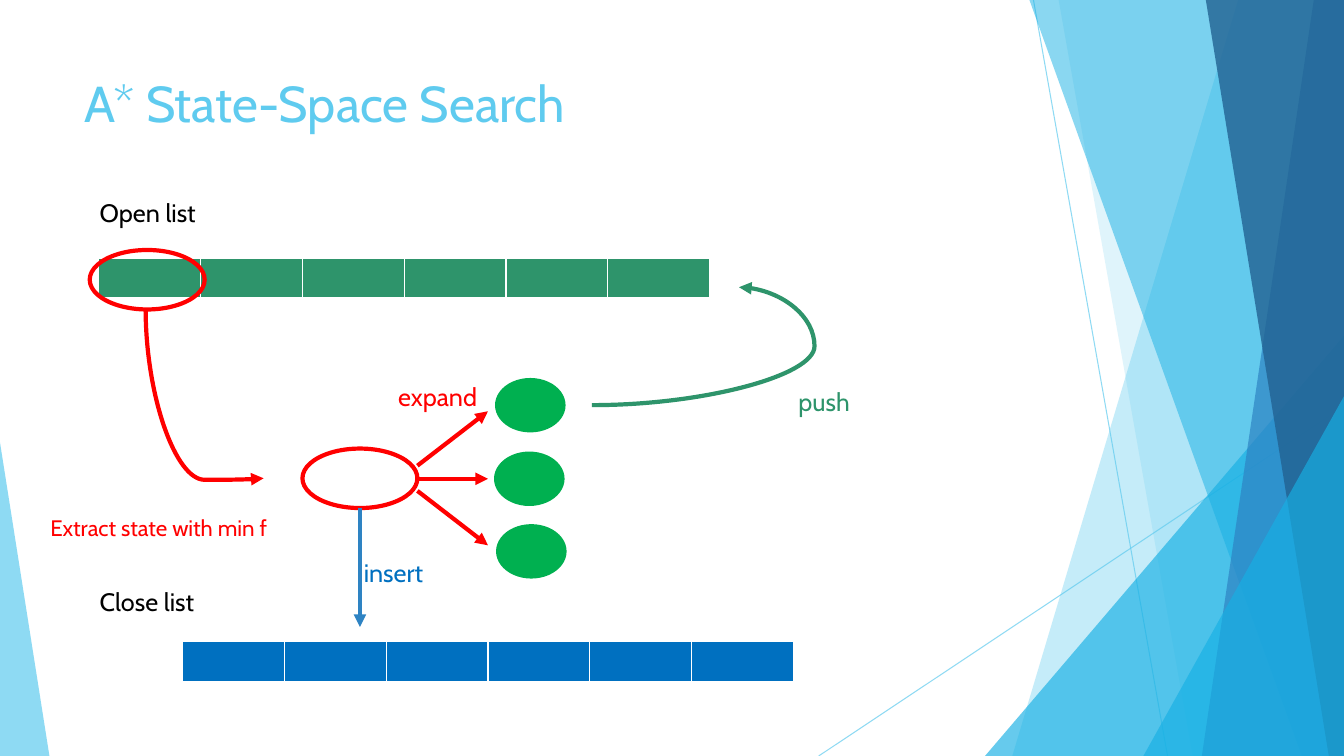
"""Build the A* state-space search slide."""
from dataclasses import dataclass

from lxml import etree
from pptx import Presentation
from pptx import util as u
from pptx.dml.color import RGBColor
from pptx.enum import shapes, text
from pptx.oxml.ns import qn

PX = 9144


@dataclass(frozen=True)
class Theme:
    """Hold the colours, font and sizes of the slide."""
    font: str = "Cabin"
    title_size: int = 36
    label_size: int = 18
    note_size: int = 16
    stroke: float = 3
    hairline: float = 0.75
    sky: str = "5FCBEF"
    cyan: str = "17B0E4"
    steel: str = "2E83C3"
    navy: str = "226292"
    open_green: str = "2E946B"
    close_blue: str = "0070C0"
    state_green: str = "00B050"
    red: str = "FF0000"
    black: str = "000000"
    white: str = "FFFFFF"


THEME = Theme()


def px(*lengths):
    """Turn pixel lengths into EMU."""
    return [u.Emu(length * PX) for length in lengths]


def paint(fill, colour, alpha=100):
    """Give a fill a solid colour and an opacity in percent."""
    fill.solid()
    fill.fore_color.rgb = RGBColor.from_string(colour)
    if alpha < 100:
        for node in fill._xPr.iter(qn("a:srgbClr")):
            etree.SubElement(node, qn("a:alpha"), val=str(alpha * 1000))


def add_facet(slide, top_x, bottom_x, colour, alpha):
    """Add a slanted panel that reaches the right edge."""
    builder = slide.shapes.build_freeform(top_x, 0, scale=PX)
    builder.add_line_segments([(1333, 0), (1333, 750), (bottom_x, 750)], close=True)
    shape = builder.convert_to_shape()
    shape.shadow.inherit = False
    paint(shape.fill, colour, alpha)
    shape.line.fill.background()


def add_triangle(slide, box, apex, colour, alpha):
    """Add a translucent triangle with its apex at a share of its width."""
    shape = slide.shapes.add_shape(shapes.MSO_SHAPE.ISOSCELES_TRIANGLE, *px(*box))
    shape.adjustments[0] = apex
    shape.shadow.inherit = False
    paint(shape.fill, colour, alpha)
    shape.line.fill.background()


def add_ellipse(slide, box, fill=None, outline=None):
    """Add an ellipse that is either filled or outlined."""
    shape = slide.shapes.add_shape(shapes.MSO_SHAPE.OVAL, *px(*box))
    shape.shadow.inherit = False
    if fill:
        paint(shape.fill, fill)
        shape.line.fill.background()
    else:
        shape.fill.background()
        paint(shape.line.fill, outline)
        shape.line.width = u.Pt(THEME.stroke)


def add_line(slide, ends, colour, width=THEME.stroke, alpha=100, arrow=True,
             kind=shapes.MSO_CONNECTOR.STRAIGHT):
    """Add a connector, with an arrowhead at its end if wanted."""
    connector = slide.shapes.add_connector(kind, *px(*ends))
    connector.line.width = u.Pt(width)
    paint(connector.line.fill, colour, alpha)
    if arrow:
        etree.SubElement(connector.line._get_or_add_ln(), qn("a:tailEnd"), type="triangle")
    etree.SubElement(connector._element.spPr, qn("a:effectLst"))
    return connector


def add_curve(slide, ends, colour, bend, rotation=0):
    """Add a curved arrow with a bend in thousandths of its width."""
    connector = add_line(slide, ends, colour, kind=shapes.MSO_CONNECTOR.CURVE)
    properties = connector._element.spPr
    properties.find(qn("a:xfrm")).set("rot", str(rotation * 60000))
    guides = properties.find(qn("a:prstGeom")).find(qn("a:avLst"))
    etree.SubElement(guides, qn("a:gd"), name="adj1", fmla=f"val {bend * 100}")


def add_text(slide, box, words, colour, size=THEME.label_size, wrap=False):
    """Add a text box with one run."""
    frame = slide.shapes.add_textbox(*px(*box)).text_frame
    frame.word_wrap = wrap
    frame.auto_size = (text.MSO_AUTO_SIZE.NONE if wrap
                       else text.MSO_AUTO_SIZE.SHAPE_TO_FIT_TEXT)
    run = frame.paragraphs[0].add_run()
    run.text = words
    run.font.name = THEME.font
    run.font.size = u.Pt(size)
    run.font.color.rgb = RGBColor.from_string(colour)


def add_queue(slide, left, top, colour, count=6):
    """Add a one-row table of equal cells with white borders."""
    frame = slide.shapes.add_table(1, count, *px(left, top, 101 * count, 41))
    table = frame.table
    table.first_row = table.horz_banding = False
    for cell in table.iter_cells():
        properties = cell._tc.get_or_add_tcPr()
        for side, width in (("L", 1), ("R", 1), ("T", 1), ("B", 3)):
            border = etree.SubElement(properties, qn(f"a:ln{side}"), w=str(u.Pt(width)))
            solid = etree.SubElement(border, qn("a:solidFill"))
            etree.SubElement(solid, qn("a:srgbClr"), val=THEME.white)
        paint(cell.fill, colour)


def add_backdrop(slide):
    """Add the faceted decoration at both edges."""
    for ends in ((1025, 0, 1158, 750), (1333, 403, 812, 750)):
        add_line(slide, ends, THEME.sky, THEME.hairline, 70, arrow=False)
    add_facet(slide, 1228, 1004, THEME.sky, 36)
    add_facet(slide, 1050, 1183, THEME.sky, 20)
    add_triangle(slide, (977, 333, 356, 417), 1, THEME.cyan, 66)
    add_facet(slide, 1021, 1291, THEME.cyan, 50)
    add_facet(slide, 1303, 1192, THEME.steel, 70)
    add_facet(slide, 1196, 1318, THEME.navy, 80)
    add_triangle(slide, (1134, 393, 199, 357), 1, THEME.cyan, 66)
    add_triangle(slide, (0, 439, 49, 311), 0, THEME.sky, 70)


def add_search(slide):
    """Add the two lists, the states and the steps between them."""
    add_queue(slide, 98, 256, THEME.open_green)
    add_queue(slide, 181, 636, THEME.close_blue)
    for left, top in ((89, 248), (300, 445)):
        add_ellipse(slide, (left, top, 114, 59), outline=THEME.red)
    add_curve(slide, (287, 332, 119, 449), THEME.red, 1009, 270)
    for start_y, end_y in ((462, 408), (487, 541), (475, 475)):
        add_line(slide, (414, start_y, 484, end_y), THEME.red)
    for left, top in ((491, 375), (490, 448), (492, 520)):
        add_ellipse(slide, (left, top, 70, 54), fill=THEME.state_green)
    add_line(slide, (357, 504, 357, 622), THEME.steel)
    add_curve(slide, (587, 402, 733, 285), THEME.open_green, 1513)


def add_labels(slide):
    """Add the title and the labels."""
    add_text(slide, (74, 67, 940, 144), "A* State-Space Search", THEME.sky,
             THEME.title_size, wrap=True)
    add_text(slide, (40, 505, 261, 37), "Extract state with min f", THEME.red,
             THEME.note_size)
    for left, top, width, words, colour in (
            (89, 191, 121, "Open list", THEME.black),
            (89, 577, 122, "Close list", THEME.black),
            (385, 373, 102, "expand", THEME.red),
            (782, 378, 72, "push", THEME.open_green),
            (351, 548, 85, "insert", THEME.close_blue)):
        add_text(slide, (left, top, width, 40), words, colour)


def main():
    """Build and save the slide."""
    presentation = Presentation()
    presentation.slide_width, presentation.slide_height = px(1333, 750)
    slide = presentation.slides.add_slide(presentation.slide_layouts[6])
    add_backdrop(slide)
    add_search(slide)
    add_labels(slide)
    presentation.save("out.pptx")


if __name__ == "__main__":
    main()
